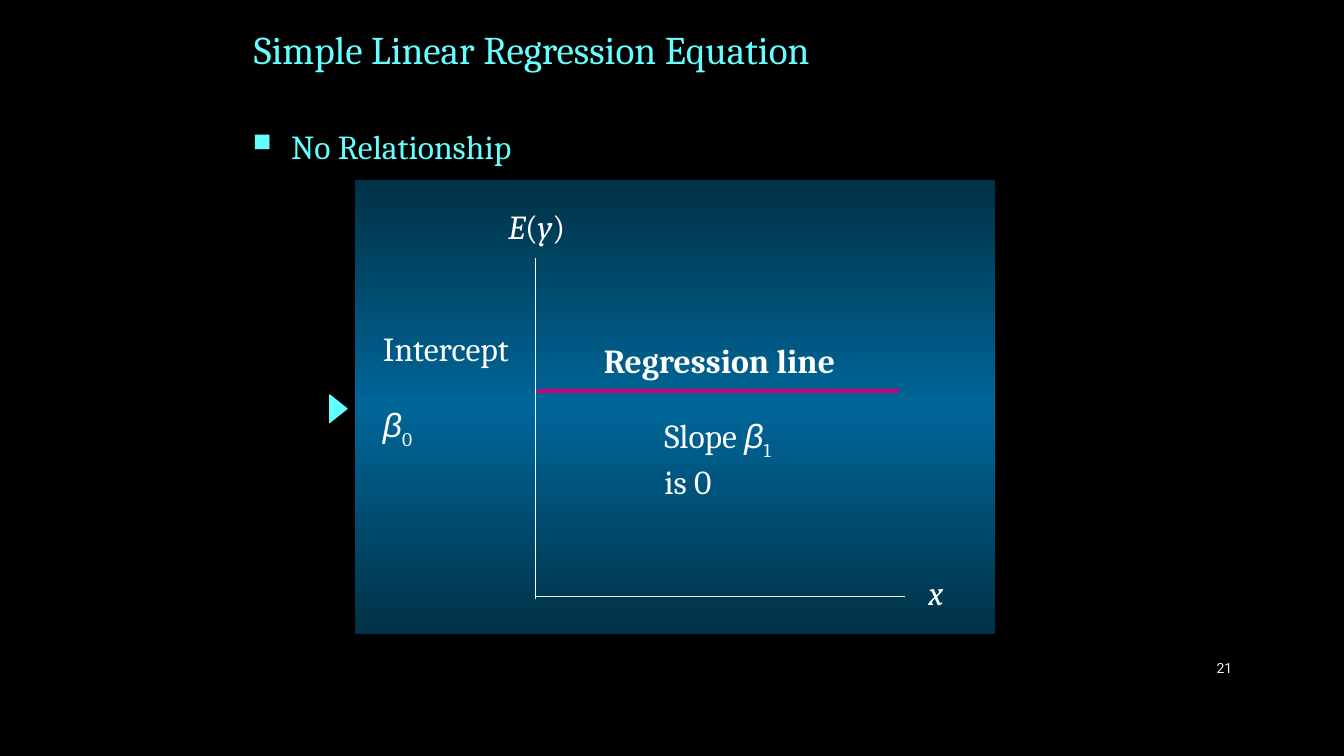
from copy import deepcopy

from lxml.etree import SubElement
from pptx import Presentation
from pptx.dml.color import RGBColor
from pptx.enum.shapes import MSO_CONNECTOR as Connector, MSO_SHAPE as Shape
from pptx.enum.text import MSO_ANCHOR as Anchor, PP_ALIGN as Align
from pptx.oxml.ns import qn
from pptx.util import Inches, Pt

COLORS = {
    "background": "000000", "accent": "66FFFF", "white": "FFFFFF",
    "number": "F2F2F2", "line": "D20078", "edge": "003246", "middle": "006699",
}
ITALIC = {"italic": True}
BETA = {"name": "Arial", "italic": True}
SUB = {"subscript": True}

# Each text: box, base format, paragraphs made of (text, format) runs
HEADING = ((2.42, 0.04, 8.5, 0.89), {"size": 28, "color": "accent"},
           [[("Simple Linear Regression Equation", {})]])
BULLET = ((2.41, 1.2, 8.5, 0.5), {"color": "accent"}, [[("No Relationship", {})]])
PAGE_NUMBER = ((11.5, 6.43, 0.82, 0.4), {"name": "Roboto", "size": 10, "color": "number"},
               [[("21", {})]])
INTERCEPT = ((3.7, 3.2, 1.59, 1.3), {},
             [[("Intercept", {})], [("β", BETA), ("0", SUB)]])
CHART_LABELS = [
    ((4.94, 1.99, 0.79, 0.5), {}, [[("E", ITALIC), ("(", {}), ("y", ITALIC), (")", {})]]),
    ((9.11, 5.62, 0.37, 0.5), {}, [[("x", ITALIC)]]),
    ((6.49, 4.07, 1.4, 0.91), {},
     [[("Slope ", {}), ("β", BETA), ("1", SUB)], [("is 0", {})]]),
    ((5.89, 3.32, 2.56, 0.5), {"bold": True}, [[("Regression line", {})]]),
]

PANEL = (3.52, 1.79, 6.35, 4.5)
GRADIENT = [(0, "edge"), (0.5, "middle"), (1, "edge")]
POINTER = (3.22, 3.97, 0.27, 0.17)
# Start, end, colour, width in points
LINES = [
    ((5.31, 2.56), (5.31, 5.94), "white", 0.5),
    ((5.31, 5.92), (8.98, 5.92), "white", 0.5),
    ((5.33, 3.88), (8.92, 3.88), "line", 3),
]


def rgb(name):
    return RGBColor.from_string(COLORS[name])


def inches(values):
    return [Inches(v) for v in values]


def add_run(p, text, fmt):
    r = p.add_run()
    r.text = text
    for key, value in fmt.items():
        if key == "color":
            r.font.color.rgb = rgb(value)
        elif key == "subscript":
            r.font._element.set("baseline", "-25000")
        else:
            setattr(r.font, key, Pt(value) if key == "size" else value)


def add_text(slide, box, base, paragraphs, anchor=Anchor.TOP):
    tf = slide.shapes.add_textbox(*inches(box)).text_frame
    tf.word_wrap = True
    tf.vertical_anchor = anchor
    for i, runs in enumerate(paragraphs):
        p = tf.add_paragraph() if i else tf.paragraphs[0]
        for text, fmt in runs:
            add_run(p, text, {"name": "Cambria", "size": 24, "color": "white"} | base | fmt)
    return tf


def add_bullet(p):
    """Give the paragraph a hanging square bullet."""
    pPr = p._p.get_or_add_pPr()
    pPr.set("marL", str(Inches(0.38)))
    pPr.set("indent", str(Inches(-0.38)))
    color = SubElement(pPr, qn("a:buClr"))
    SubElement(color, qn("a:srgbClr"), val=COLORS["accent"])
    SubElement(pPr, qn("a:buSzPct"), val="75000")
    SubElement(pPr, qn("a:buChar"), char="■")


def add_panel(slide):
    sp = slide.shapes.add_shape(Shape.RECTANGLE, *inches(PANEL))
    sp.shadow.inherit = False
    sp.line.fill.background()
    sp.fill.gradient()
    sp.fill.gradient_angle = 90
    stop_list = sp._element.find(".//" + qn("a:gsLst"))
    stop_list.append(deepcopy(stop_list[0]))
    for stop, (position, color) in zip(sp.fill.gradient_stops, GRADIENT):
        stop.position = position
        stop.color.rgb = rgb(color)


def add_line(slide, start, end, color, width):
    line = slide.shapes.add_connector(Connector.STRAIGHT, *inches(start + end))
    line.line.color.rgb = rgb(color)
    line.line.width = Pt(width)
    SubElement(line._element.spPr, qn("a:effectLst"))


def add_pointer(slide):
    sp = slide.shapes.add_shape(Shape.ISOSCELES_TRIANGLE, *inches(POINTER))
    sp.rotation = 90
    sp.shadow.inherit = False
    sp.fill.solid()
    sp.fill.fore_color.rgb = sp.line.color.rgb = rgb("accent")
    sp.line.width = Pt(1)


def main():
    prs = Presentation()
    prs.slide_width, prs.slide_height = Inches(13.33), Inches(7.5)
    slide = prs.slides.add_slide(prs.slide_layouts[6])
    slide.background.fill.solid()
    slide.background.fill.fore_color.rgb = rgb("background")

    add_text(slide, *HEADING, anchor=Anchor.MIDDLE)
    add_bullet(add_text(slide, *BULLET).paragraphs[0])
    add_panel(slide)
    for line in LINES:
        add_line(slide, *line)
    for label in CHART_LABELS:
        add_text(slide, *label)
    add_text(slide, *INTERCEPT).paragraphs[1].space_before = Pt(26)
    add_pointer(slide)
    number = add_text(slide, *PAGE_NUMBER, anchor=Anchor.MIDDLE)
    number.paragraphs[0].alignment = Align.RIGHT
    prs.save("out.pptx")


if __name__ == "__main__":
    main()
